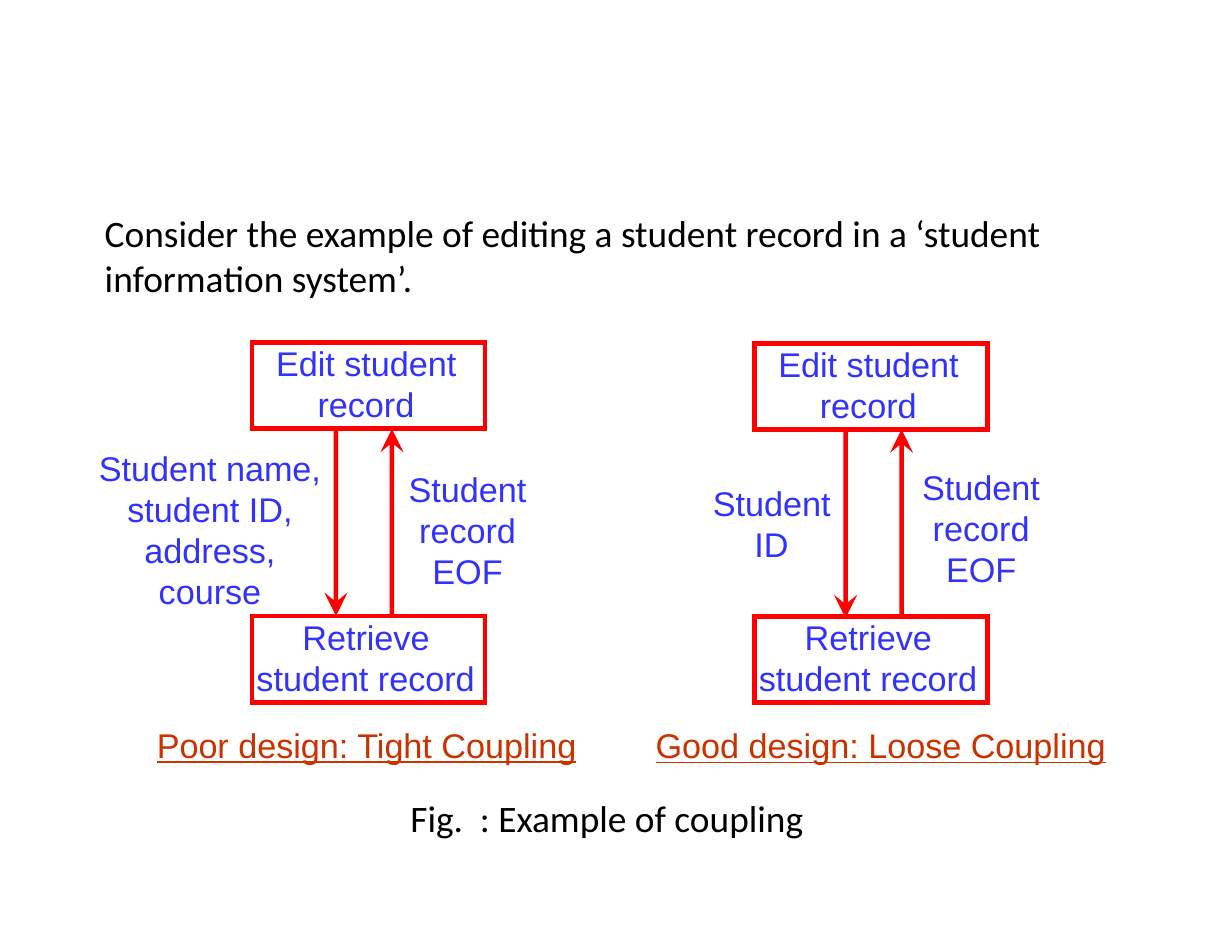
from pptx import Presentation
from pptx.dml.color import RGBColor
from pptx.enum.shapes import MSO_SHAPE
from pptx.enum.text import MSO_ANCHOR, MSO_AUTO_SIZE, PP_ALIGN
from pptx.oxml.ns import qn
from pptx.util import Inches, Pt
from lxml.etree import SubElement
from dataclasses import dataclass, field

COLS, ROWS = 110, 85


@dataclass
class Theme:
    line: RGBColor = field(default_factory=lambda: RGBColor(0xFF, 0, 0))
    width: Pt = Pt(3.1)
    body: dict = field(default_factory=lambda: dict(
        name="Calibri", size=Pt(24), color=RGBColor(0, 0, 0)))
    label: dict = field(default_factory=lambda: dict(
        name="Arial", size=Pt(22), color=RGBColor(0x32, 0x32, 0xFF)))
    verdict: dict = field(default_factory=lambda: dict(
        name="Arial", size=Pt(22), underline=True, color=RGBColor(0xCC, 0x32, 0)))


theme = Theme()
deck = Presentation()
deck.slide_width, deck.slide_height = Inches(11), Inches(8.5)


def across(cols):
    return round(deck.slide_width * cols / COLS)


def down(rows):
    return round(deck.slide_height * rows / ROWS)


def place(x, y, w, h):
    return across(x), down(y), across(w), down(h)


def write(shape, text, style, align=PP_ALIGN.LEFT, margin=0.1, indent=0):
    frame = shape.text_frame
    frame.text = text
    layout = dict(margin_left=0, margin_top=0, margin_right=0, margin_bottom=0,
                  word_wrap=True, auto_size=MSO_AUTO_SIZE.NONE,
                  vertical_anchor=MSO_ANCHOR.TOP)
    for key, value in layout.items():
        setattr(frame, key, value)
    para = frame.paragraphs[0]
    para.alignment = align
    props = para._p.get_or_add_pPr()
    props.set("marL", str(across(margin)))
    props.set("indent", str(across(indent)))
    font = para.runs[0].font
    for key, value in style.items():
        if key == "color":
            font.color.rgb = value
        else:
            setattr(font, key, value)


def label(slide, box, text, style, **layout):
    write(slide.shapes.add_textbox(*place(*box)), text, style, **layout)


def module(slide, box, text, margin, indent):
    shape = slide.shapes.add_shape(MSO_SHAPE.RECTANGLE, *place(*box))
    shape.shadow.inherit = False
    shape.fill.background()
    shape.line.color.rgb = theme.line
    shape.line.width = theme.width
    SubElement(shape.line._get_or_add_ln(), qn("a:miter"), lim="800000")
    write(shape, text, theme.label, margin=margin, indent=indent)


def arrow(slide, x, start, end):
    way = 1 if end > start else -1
    wing, shaft = end - 2.1 * way, end - 1.4 * way
    points = [(1.04, wing), (0.2, shaft), (0.2, start),
              (-0.2, start), (-0.2, shaft), (-1.04, wing)]
    pen = slide.shapes.build_freeform(across(x), down(end))
    pen.add_line_segments([(across(x + dx), down(y)) for dx, y in points])
    shape = pen.convert_to_shape()
    shape.shadow.inherit = False
    shape.fill.solid()
    shape.fill.fore_color.rgb = theme.line
    shape.line.fill.background()


def panel(slide, box, shaft, drop, notes, verdict):
    x, y, w, h = box
    tall = 7.7
    low = y + h - tall
    module(slide, (x, y, w, tall), "Edit student record", 5.85, -3.7)
    module(slide, (x, low, w, tall), "Retrieve student record", 0.4, 4.1)
    arrow(slide, x + shaft, y + tall + drop, low + drop)
    arrow(slide, x + shaft + 5, low, y + tall)
    for (left, top, wide, high), text, layout in notes:
        label(slide, (x + left, y + top, wide, high), text, theme.label, **layout)
    left, wide, text = verdict
    label(slide, (x + left, y + h + 1.95, wide, 3.3), text, theme.verdict)


def intro(slide, box):
    title = slide.shapes.title
    title.left, title.top, title.width, title.height = place(*box)
    write(title, "Consider the example of editing a student record "
          "in a ‘student information system’.", theme.body)


slide = deck.slides.add_slide(deck.slide_layouts[5])
intro(slide, (9.25, 18.75, 91.6, 8.1))

middle = dict(align=PP_ALIGN.CENTER)
reply = "Student record EOF"
panel(slide, (22.5, 30.6, 20.8, 32.1), 7.5, 0,
      [((-13.85, 9.35, 20.1, 14.3), "Student name, student ID, address, course", middle),
       ((13.8, 11.2, 10.8, 10.7), reply, middle)],
      (-8.6, 38, "Poor design: Tight Coupling"))
panel(slide, (67.35, 30.65, 20.8, 32.1), 8.15, 0.15,
      [((-3.9, 12.4, 10.8, 7), "Student ID", dict(margin=3.9, indent=-3.7)),
       ((14.8, 11, 10.8, 10.6), reply, middle)],
      (-8.9, 40.6, "Good design: Loose Coupling"))
label(slide, (36.55, 71, 38.6, 4), "Fig.  : Example of coupling", theme.body)

deck.save("out.pptx")
